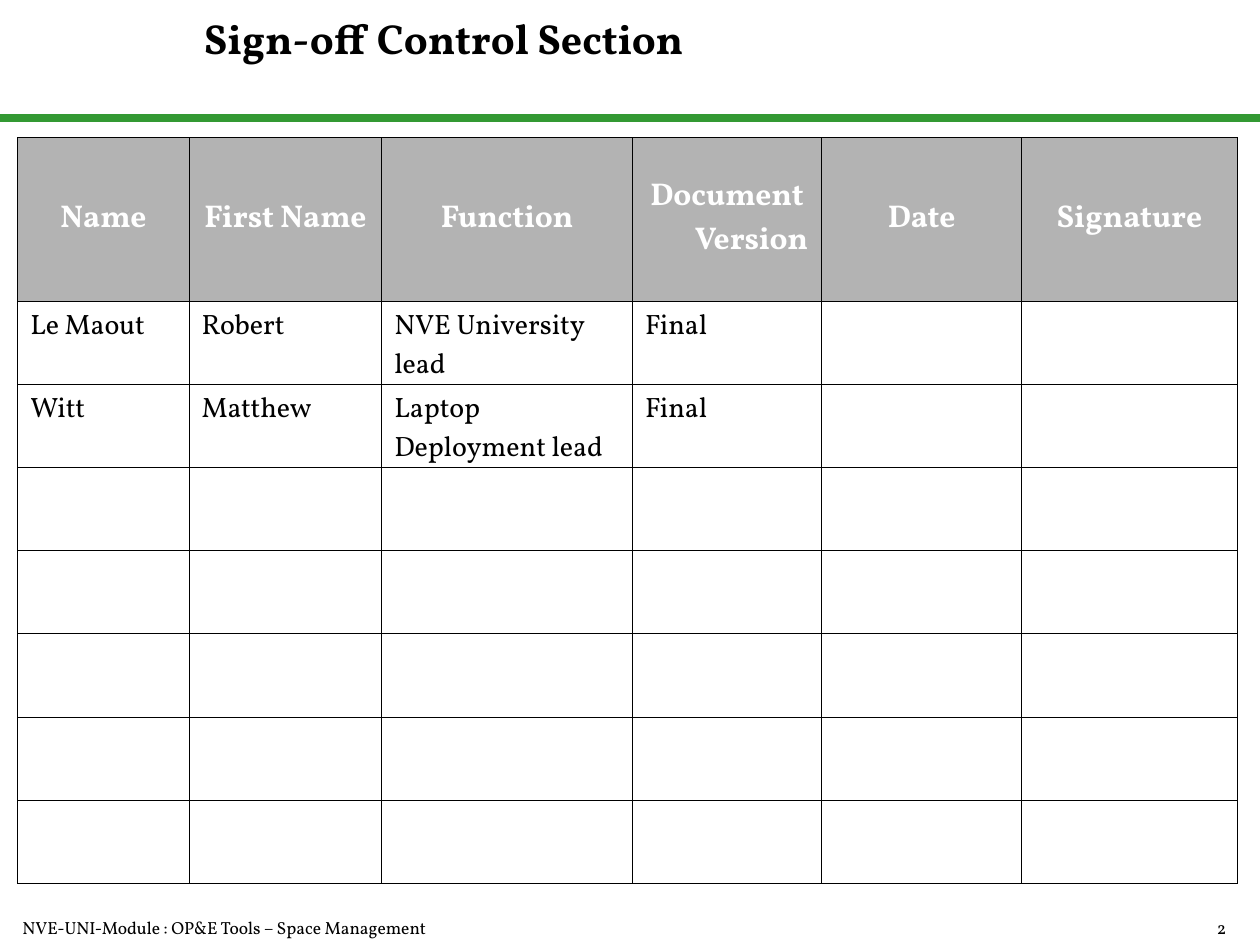
from lxml.etree import SubElement
from pptx import Presentation
from pptx.dml.color import RGBColor
from pptx.enum.shapes import MSO_CONNECTOR
from pptx.enum.text import MSO_ANCHOR, PP_ALIGN
from pptx.oxml.ns import qn
from pptx.util import Inches, Pt

FONT = "Vollkorn"
BLACK, WHITE, GREY, GREEN = "000000", "FFFFFF", "B3B3B3", "339933"

COLUMNS = [("Name", 1.36), ("First Name", 1.53), ("Function", 1.99),
           ("Document Version", 1.5), ("Date", 1.59), ("Signature", 1.71)]
SIGNATORIES = [("Le Maout", "Robert", "NVE University lead", "Final"),
               ("Witt", "Matthew", "Laptop Deployment lead", "Final")]
BLANK_ROWS = 5
HEADER_HEIGHT, ROW_HEIGHT = 1.3, 0.66


def color(value):
    return RGBColor.from_string(value)


def write(frame, text, size, ink=BLACK, bold=False, align=PP_ALIGN.LEFT,
          before=0, hanging=0):
    frame.word_wrap = True
    paragraph = frame.paragraphs[0]
    paragraph.alignment = align
    paragraph.space_before = Pt(before)
    if hanging:
        properties = paragraph._p.get_or_add_pPr()
        properties.set("marL", str(Inches(hanging)))
        properties.set("indent", str(Inches(-hanging)))
    run = paragraph.add_run()
    run.text = text
    run.font.name = FONT
    run.font.size = Pt(size)
    run.font.bold = bold
    run.font.color.rgb = color(ink)


def add_text(slide, box, text, size, **style):
    frame = slide.shapes.add_textbox(*map(Inches, box)).text_frame
    write(frame, text, size, **style)


def add_header(slide, box):
    """Title over a green rule that spans the width of the box."""
    left, top, width, height = box
    bottom = top + height
    rule = slide.shapes.add_connector(
        MSO_CONNECTOR.STRAIGHT, Inches(left), Inches(bottom),
        Inches(left + width), Inches(bottom))
    rule.line.color.rgb = color(GREEN)
    rule.line.width = Pt(4.5)
    SubElement(rule._element.spPr, qn("a:effectLst"))
    add_text(slide, (left + 1.52, top + 0.05, 7.65, 0.7),
             "Sign-off Control Section", 24, bold=True)


def set_borders(cell):
    """Must run before the fill is set, as borders come first in the XML."""
    properties = cell._tc.get_or_add_tcPr()
    for side in ("a:lnL", "a:lnR", "a:lnT", "a:lnB"):
        border = SubElement(properties, qn(side), w=str(Pt(0.45)))
        fill = SubElement(border, qn("a:solidFill"))
        SubElement(fill, qn("a:srgbClr"), val=BLACK)


def add_sign_off_table(slide, box):
    rows = 1 + len(SIGNATORIES) + BLANK_ROWS
    table = slide.shapes.add_table(rows, len(COLUMNS), *map(Inches, box)).table
    table.first_row = table.horz_banding = False
    for column, (_, width) in zip(table.columns, COLUMNS):
        column.width = Inches(width)
    for index, row in enumerate(table.rows):
        row.height = Inches(ROW_HEIGHT if index else HEADER_HEIGHT)
    for cell in table.iter_cells():
        set_borders(cell)
        cell.fill.background()

    for index, (heading, _) in enumerate(COLUMNS):
        cell = table.cell(0, index)
        cell.fill.solid()
        cell.fill.fore_color.rgb = color(GREY)
        cell.vertical_anchor = MSO_ANCHOR.MIDDLE
        write(cell.text_frame, heading, 18, ink=WHITE, bold=True,
              align=PP_ALIGN.CENTER, hanging=0.39)
    for row, signatory in enumerate(SIGNATORIES, start=1):
        for index, entry in enumerate(signatory):
            write(table.cell(row, index).text_frame, entry, 16, before=4)


def add_footer(slide, box):
    left, top, width, height = box
    number_width = 1.08
    add_text(slide, (left, top, 5.16, height),
             "NVE-UNI-Module : OP&E Tools – Space Management", 10, before=6.2)
    add_text(slide, (left + width - number_width, top, number_width, height),
             "2", 10, align=PP_ALIGN.RIGHT, before=6.2)


def main():
    presentation = Presentation()
    presentation.slide_width = Inches(10)
    presentation.slide_height = Inches(7.5)
    slide = presentation.slides.add_slide(presentation.slide_layouts[6])
    add_header(slide, (0, 0, 10, 0.94))
    add_sign_off_table(slide, (0.14, 1.09, 9.68, 5.92))
    add_footer(slide, (0.08, 7.23, 9.75, 0.27))
    presentation.save("out.pptx")


if __name__ == "__main__":
    main()
